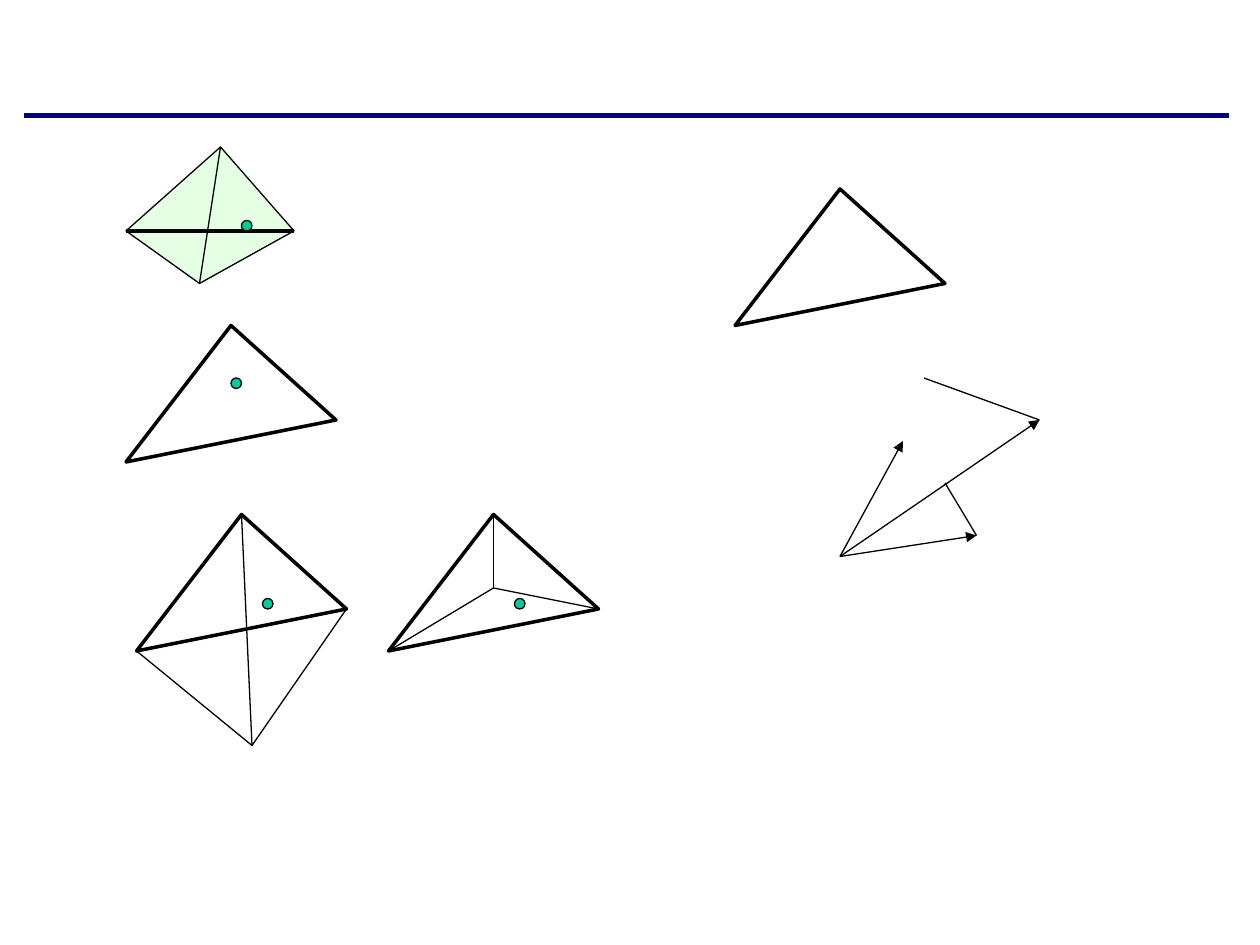
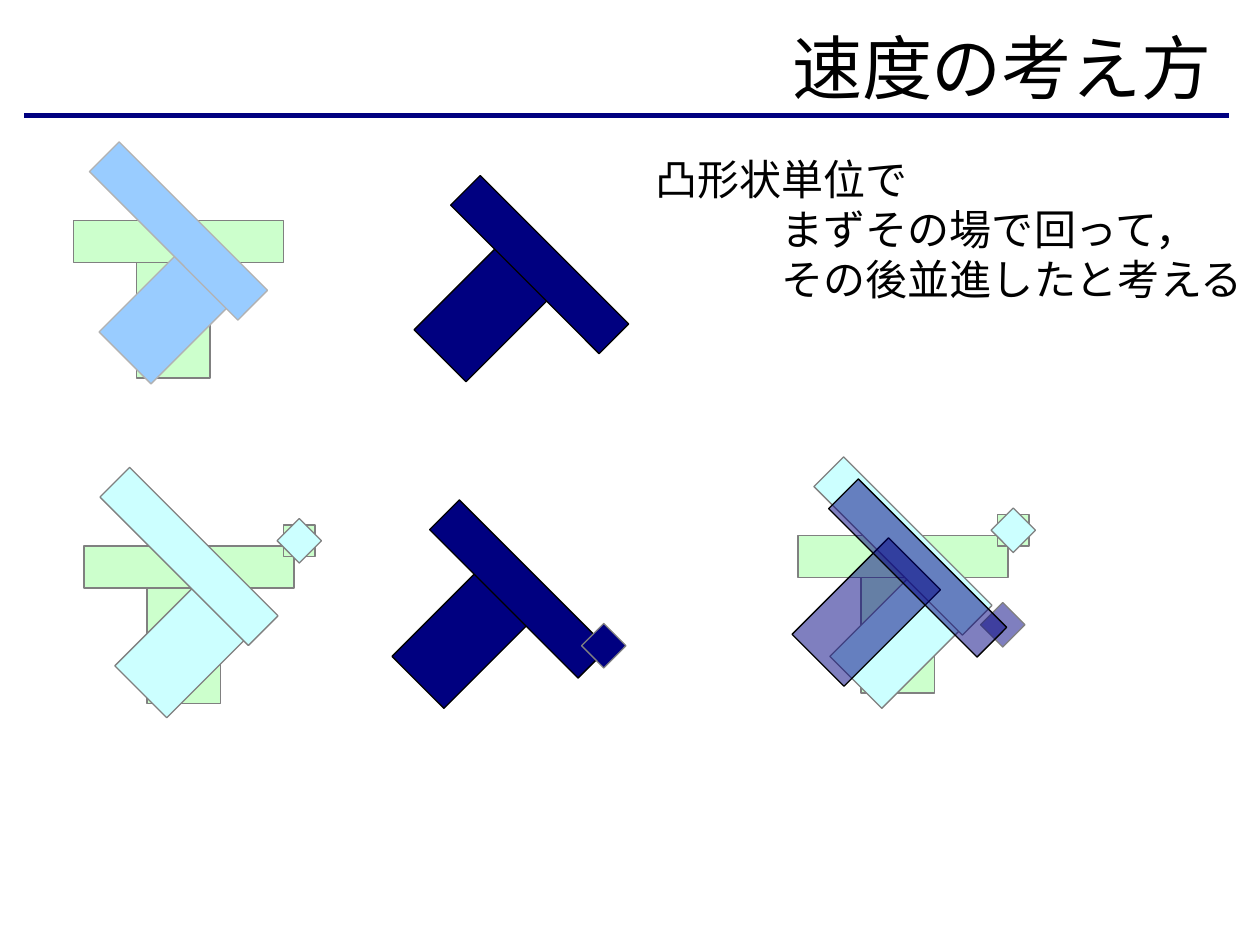
"""Build two slides: simplex diagrams, and how velocity is treated for convex shapes."""
from lxml import etree
from pptx import Presentation, util as u
from pptx.dml.color import RGBColor
from pptx.enum import shapes, text
from pptx.oxml.ns import qn

PX = 7620
BLACK = RGBColor(0x00, 0x00, 0x00)
NAVY = RGBColor(0x00, 0x00, 0x80)
GRAY = RGBColor(0x80, 0x80, 0x80)
SILVER = RGBColor(0xB2, 0xB2, 0xB2)
MINT = RGBColor(0xCC, 0xFF, 0xCC)
SKY = RGBColor(0x99, 0xCC, 0xFF)
ICE = RGBColor(0xCC, 0xFF, 0xFF)
TEAL = RGBColor(0x00, 0xCC, 0x99)
FONT = "Times New Roman"
THIN, THICK = 0.75, 2


def write(frame, lines, size, align=text.PP_ALIGN.LEFT, tab=None):
    """Fill a text frame with one paragraph per line."""
    for number, line in enumerate(lines):
        para = frame.add_paragraph() if number else frame.paragraphs[0]
        para.alignment = align
        if tab:
            stops = etree.SubElement(para._p.get_or_add_pPr(), qn("a:tabLst"))
            etree.SubElement(stops, qn("a:tab"), pos=str(tab * PX), algn="l")
        span = para.add_run()
        span.text = line
        span.font.name, span.font.size, span.font.color.rgb = FONT, u.Pt(size), BLACK


def paint(shape, fill=None, line=BLACK, width=THIN, opacity=100):
    """Give a shape its fill and outline, without shadow."""
    shape.shadow.inherit = False
    shape.line.color.rgb = line
    shape.line.width = u.Pt(width)
    if fill is None:
        shape.fill.background()
        return
    shape.fill.solid()
    shape.fill.fore_color.rgb = fill
    if opacity < 100:
        colour = shape._element.spPr.find(qn("a:solidFill"))[0]
        etree.SubElement(colour, qn("a:alpha"), val=str(opacity * 1000))


deck = Presentation()
deck.slide_width, deck.slide_height = 1200 * PX, 900 * PX
simplex_page = deck.slides.add_slide(deck.slide_layouts[6])
velocity_page = deck.slides.add_slide(deck.slide_layouts[5])

tetrahedron = [(120, 220), (210, 140), (280, 220), (190, 270)]
lower_edges = [(330, 580), (240, 710), (130, 620)]
triangles = [
    [(x + 100, y), (x, y + 130), (x + 200, y + 90)]
    for x, y in [(120, 310), (130, 490), (370, 490), (700, 180)]
]
outlines = [(tetrahedron, True, MINT, THIN), (lower_edges, False, None, THIN)]
outlines += [(triangle, True, None, THICK) for triangle in triangles]
for points, closed, fill, width in outlines:
    builder = simplex_page.shapes.build_freeform(*points[0], scale=PX)
    builder.add_line_segments(points[1:], close=closed)
    paint(builder.convert_to_shape(), fill, width=width, opacity=50)

apex, centre, origin = (210, 140), (470, 560), (800, 530)
thin_lines = [
    (apex, (190, 270)),
    ((230, 490), (240, 710)),
    ((990, 400), (880, 360)),
    ((930, 510), (900, 460)),
]
thin_lines += [(corner, centre) for corner in triangles[2]]
vectors = [(origin, tip) for tip in [(990, 400), (860, 420), (930, 510)]]
lines = [(page, (23, 110), (1170, 110), NAVY, 3, False) for page in deck.slides]
lines += [(simplex_page, (120, 220), (280, 220), BLACK, THICK, False)]
lines += [(simplex_page, *ends, BLACK, THIN, False) for ends in thin_lines]
lines += [(simplex_page, *ends, BLACK, THIN, True) for ends in vectors]
for page, start, end, colour, width, arrow in lines:
    connector = page.shapes.add_connector(
        shapes.MSO_CONNECTOR.STRAIGHT, *(value * PX for value in start + end))
    connector.line.color.rgb = colour
    connector.line.width = u.Pt(width)
    properties = connector._element.spPr
    if arrow:
        etree.SubElement(properties.find(qn("a:ln")), qn("a:tailEnd"), type="triangle")
    etree.SubElement(properties, qn("a:effectLst"))

for x, y in [(230, 210), (220, 360), (250, 570), (490, 570)]:
    paint(simplex_page.shapes.add_shape(
        shapes.MSO_SHAPE.OVAL, x * PX, y * PX, 10 * PX, 10 * PX), TEAL)

title = velocity_page.shapes.title
title.left, title.top, title.width, title.height = 122 * PX, 20 * PX, 1044 * PX, 86 * PX
title.text_frame.vertical_anchor = text.MSO_ANCHOR.MIDDLE
write(title.text_frame, ["速度の考え方"], 40, align=text.PP_ALIGN.RIGHT)

STEM, BAR, KNOB = (70, 130), (200, 40), (30, 30)
figures = [
    (MINT, GRAY, 0, 100, [(STEM, 130, 230), (BAR, 70, 210)]),
    (NAVY, BLACK, 45, 100, [(STEM, 430, 228), (BAR, 414, 232)]),
    (SKY, SILVER, 45, 100, [(STEM, 130, 230), (BAR, 70, 200)]),
    (NAVY, BLACK, 45, 100, [(STEM, 409, 539), (BAR, 394, 541), (KNOB, 560, 600)]),
    (MINT, GRAY, 0, 100, [(STEM, 140, 540), (BAR, 80, 520), (KNOB, 270, 500)]),
    (ICE, GRAY, 45, 100, [(STEM, 145, 548), (BAR, 80, 510), (KNOB, 270, 500)]),
    (MINT, GRAY, 0, 100, [(STEM, 820, 530), (BAR, 760, 510), (KNOB, 950, 490)]),
    (ICE, GRAY, 45, 100, [(STEM, 826, 539), (BAR, 760, 500), (KNOB, 950, 490)]),
    (NAVY, BLACK, 45, 50, [(KNOB, 940, 580), (STEM, 790, 518), (BAR, 774, 521)]),
]
for fill, outline, turn, opacity, parts in figures:
    for size, x, y in parts:
        block = velocity_page.shapes.add_shape(
            shapes.MSO_SHAPE.RECTANGLE, x * PX, y * PX, size[0] * PX, size[1] * PX)
        block.rotation = turn
        paint(block, fill, GRAY if size == KNOB else outline, opacity=opacity)

box = velocity_page.shapes.add_textbox(613 * PX, 140 * PX, 583 * PX, 156 * PX)
box.text_frame.word_wrap = False
box.text_frame.auto_size = text.MSO_AUTO_SIZE.SHAPE_TO_FIT_TEXT
write(box.text_frame,
      ["凸形状単位で", "\tまずその場で回って，", "\tその後並進したと考える"], 24, tab=120)

deck.save("out.pptx")
